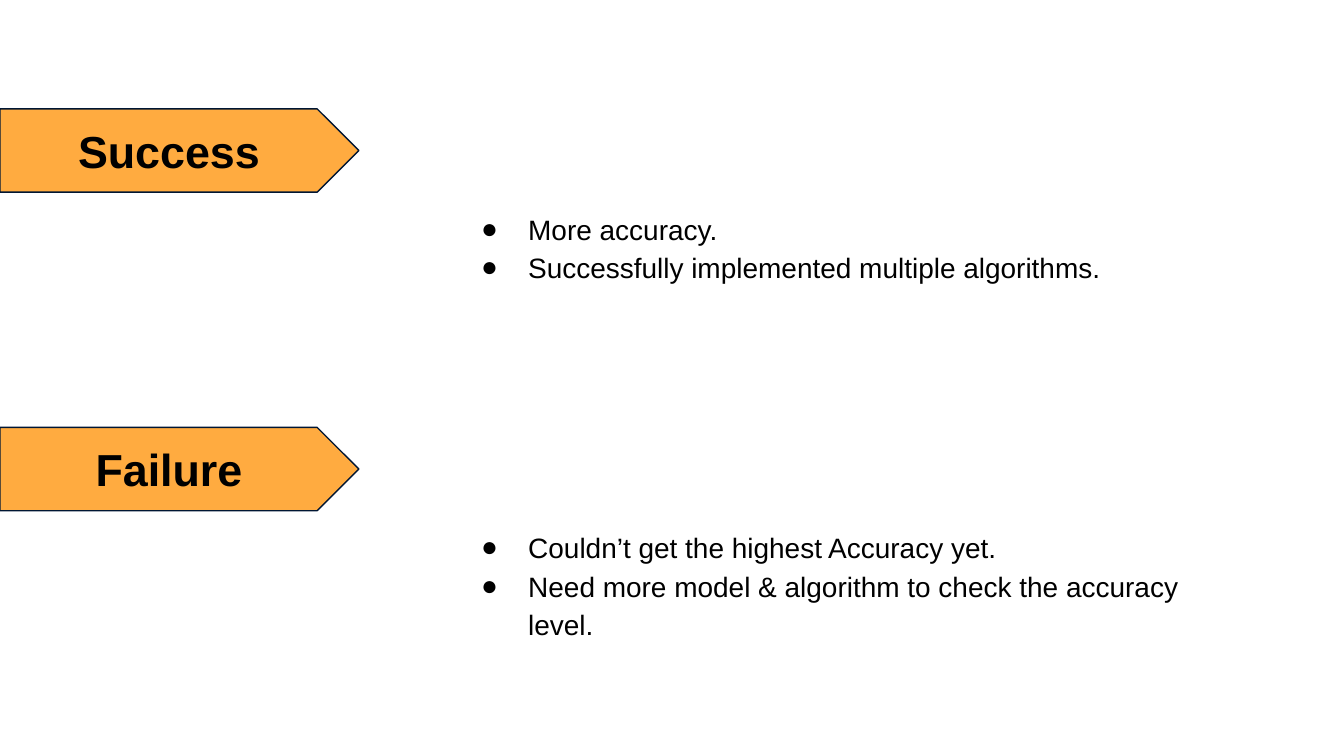
from lxml import etree
from pptx import Presentation
from pptx.dml.color import RGBColor
from pptx.enum import shapes, text
from pptx.oxml.ns import qn
from pptx.util import Inches, Pt


def paint(fmt, tone):
    fmt.solid()
    fmt.fore_color.rgb = RGBColor.from_string(tone)


def block(kind, left, top, width, height, fill, line):
    shape = slide.shapes.add_shape(
        kind, Inches(left), Inches(top), Inches(width), Inches(height))
    shape.shadow.inherit = False
    paint(shape.fill, fill)
    paint(shape.line.fill, line)
    shape.line.width = Pt(0.75)
    return shape


deck = Presentation()
deck.slide_width = Inches(10)
deck.slide_height = Inches(45 / 8)
slide = deck.slides.add_slide(deck.slide_layouts[3])
paint(slide.background.fill, "FFFFFF")
title, *bodies = slide.placeholders
title.element.getparent().remove(title.element)

back = block(shapes.MSO_SHAPE.RECTANGLE,
             -0.01, -0.01, 10.03, 5.64, "FFFFFF", "FFFFFF")
back.element.getparent().insert(2, back.element)

parts = [
    ("Success", 0.81, 6.14, 0.74,
     ["More accuracy.", "Successfully implemented multiple algorithms."]),
    ("Failure", 3.18, 6.02, 1.04,
     ["Couldn’t get the highest Accuracy yet.",
      "Need more model & algorithm to check the accuracy level."]),
]

for body, (name, top, width, height, items) in zip(bodies, parts):
    tag = block(shapes.MSO_SHAPE.PENTAGON,
                0, top, 2.67, 0.62, "FFAB40", "001633")
    tag.text_frame.text = name
    tag.text_frame.vertical_anchor = text.MSO_ANCHOR.MIDDLE
    head = tag.text_frame.paragraphs[0]
    head.alignment = text.PP_ALIGN.CENTER
    head.font.bold = True

    body.left, body.top = Inches(3.33), Inches(top + 0.63)
    body.width, body.height = Inches(width), Inches(height)
    body.text_frame.text = "\n".join(items)
    body.text_frame.word_wrap = True
    body.text_frame.auto_size = text.MSO_AUTO_SIZE.SHAPE_TO_FIT_TEXT

    for par in body.text_frame.paragraphs:
        prop = par._p.get_or_add_pPr()
        prop.set("marL", str(Inches(0.5)))
        prop.set("indent", str(Inches(-0.35)))
        tone = etree.SubElement(prop, qn("a:buClr"))
        etree.SubElement(tone, qn("a:srgbClr"), val="000000")
        etree.SubElement(prop, qn("a:buFont"), typeface="Arial")
        etree.SubElement(prop, qn("a:buChar"), char="●")
        par.line_spacing = 1.15
        par.space_before = Pt(0)

    for frame, size in ((tag.text_frame, 24), (body.text_frame, 15)):
        frame.margin_left = frame.margin_right = Inches(0.1)
        frame.margin_top = frame.margin_bottom = Inches(0.1)
        for par in frame.paragraphs:
            par.font.name = "Arial"
            par.font.size = Pt(size)
            paint(par.font.fill, "000000")

deck.save("out.pptx")
